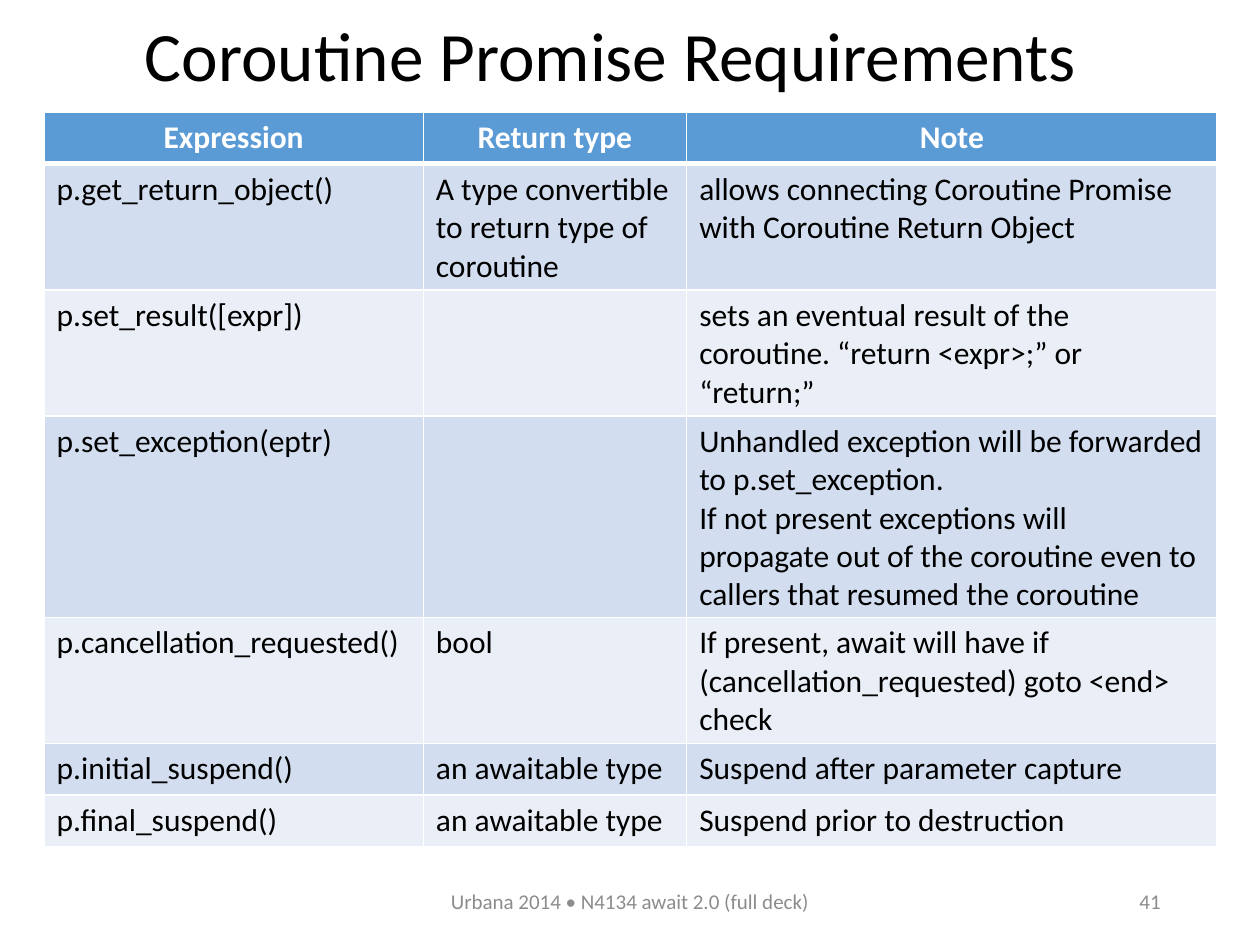
from lxml.etree import SubElement
from pptx import Presentation
from pptx.dml.color import RGBColor
from pptx.enum.text import MSO_ANCHOR, MSO_AUTO_SIZE, PP_ALIGN
from pptx.oxml.ns import qn
from pptx.util import Inches, Pt

FONT = "Calibri"
BLACK = RGBColor(0x00, 0x00, 0x00)
WHITE = RGBColor(0xFF, 0xFF, 0xFF)
GREY = RGBColor(0x8C, 0x8C, 0x8C)
HEADER_BLUE = RGBColor(0x5B, 0x9B, 0xD5)
BANDS = (RGBColor(0xD2, 0xDE, 0xEF), RGBColor(0xEA, 0xEF, 0xF7))

COLUMN_WIDTHS = (3.01, 2.09, 4.21)
ROW_HEIGHT = 0.41
REQUIREMENTS = (
    ("Expression", "Return type", "Note"),
    ("p.get_return_object()", "A type convertible to return type of coroutine",
     "allows connecting Coroutine Promise with Coroutine Return Object"),
    ("p.set_result([expr])", "",
     "sets an eventual result of the coroutine. “return <expr>;” or “return;”"),
    ("p.set_exception(eptr)", "",
     "Unhandled exception will be forwarded to p.set_exception.\n"
     "If not present exceptions will propagate out of the coroutine even to "
     "callers that resumed the coroutine"),
    ("p.cancellation_requested()", "bool",
     "If present, await will have if (cancellation_requested) goto <end> check"),
    ("p.initial_suspend()", "an awaitable type", "Suspend after parameter capture"),
    ("p.final_suspend()", "an awaitable type", "Suspend prior to destruction"),
)


def write(frame, text, size, color, align=PP_ALIGN.LEFT, bold=False):
    """Write each line of text as a formatted paragraph."""
    for index, line in enumerate(text.split("\n")):
        paragraph = frame.add_paragraph() if index else frame.paragraphs[0]
        paragraph.alignment = align
        paragraph.font.size = Pt(size)
        if line:
            run = paragraph.add_run()
            run.text = line
            run.font.name = FONT
            run.font.size = Pt(size)
            run.font.bold = bold
            run.font.color.rgb = color


def add_title(slide, left, top, width, height):
    """Place and format the title placeholder."""
    title = slide.shapes.title
    title.left, title.top = Inches(left), Inches(top)
    title.width, title.height = Inches(width), Inches(height)
    frame = title.text_frame
    frame.auto_size = MSO_AUTO_SIZE.NONE
    frame.vertical_anchor = MSO_ANCHOR.MIDDLE
    write(frame, "Coroutine Promise Requirements", 39.6, BLACK)
    frame.paragraphs[0].line_spacing = 0.9


def add_footer(slide, text, align, left, top, width, height):
    """Add one grey footer text in the given box."""
    footer = slide.shapes.add_textbox(
        Inches(left), Inches(top), Inches(width), Inches(height))
    frame = footer.text_frame
    frame.word_wrap = True
    frame.vertical_anchor = MSO_ANCHOR.MIDDLE
    write(frame, text, 12, GREY, align)


def add_borders(cell, bottom_width):
    """Give a cell white borders with the stated bottom width."""
    properties = cell._tc.get_or_add_tcPr()
    for side, width in (("L", 1), ("R", 1), ("T", 1), ("B", bottom_width)):
        line = SubElement(properties, qn(f"a:ln{side}"), w=str(Pt(width)))
        fill = SubElement(line, qn("a:solidFill"))
        SubElement(fill, qn("a:srgbClr"), val=str(WHITE))


def add_requirements(slide, left, top):
    """Add the banded table of promise requirements."""
    table = slide.shapes.add_table(
        len(REQUIREMENTS), len(COLUMN_WIDTHS), Inches(left), Inches(top),
        Inches(sum(COLUMN_WIDTHS)), Inches(ROW_HEIGHT * len(REQUIREMENTS))).table
    for column, width in zip(table.columns, COLUMN_WIDTHS):
        column.width = Inches(width)
    for index, (row, texts) in enumerate(zip(table.rows, REQUIREMENTS)):
        row.height = Inches(ROW_HEIGHT)
        header = index == 0
        for cell, text in zip(row.cells, texts):
            add_borders(cell, 3 if header else 1)
            cell.fill.solid()
            cell.fill.fore_color.rgb = HEADER_BLUE if header else BANDS[(index - 1) % 2]
            write(cell.text_frame, text, 18, WHITE if header else BLACK,
                  PP_ALIGN.CENTER if header else PP_ALIGN.LEFT, header)


def main():
    """Build and save the slide."""
    deck = Presentation()
    deck.slide_width, deck.slide_height = Inches(10), Inches(7.5)
    slide = deck.slides.add_slide(deck.slide_layouts[5])
    add_title(slide, 1.05, 0.12, 8.89, 0.7)
    add_footer(slide, "Urbana 2014 • N4134 await 2.0 (full deck)",
               PP_ALIGN.CENTER, 3.31, 6.95, 3.38, 0.4)
    add_footer(slide, "41", PP_ALIGN.RIGHT, 7.06, 6.95, 2.25, 0.4)
    add_requirements(slide, 0.35, 0.89)
    deck.save("out.pptx")


if __name__ == "__main__":
    main()
